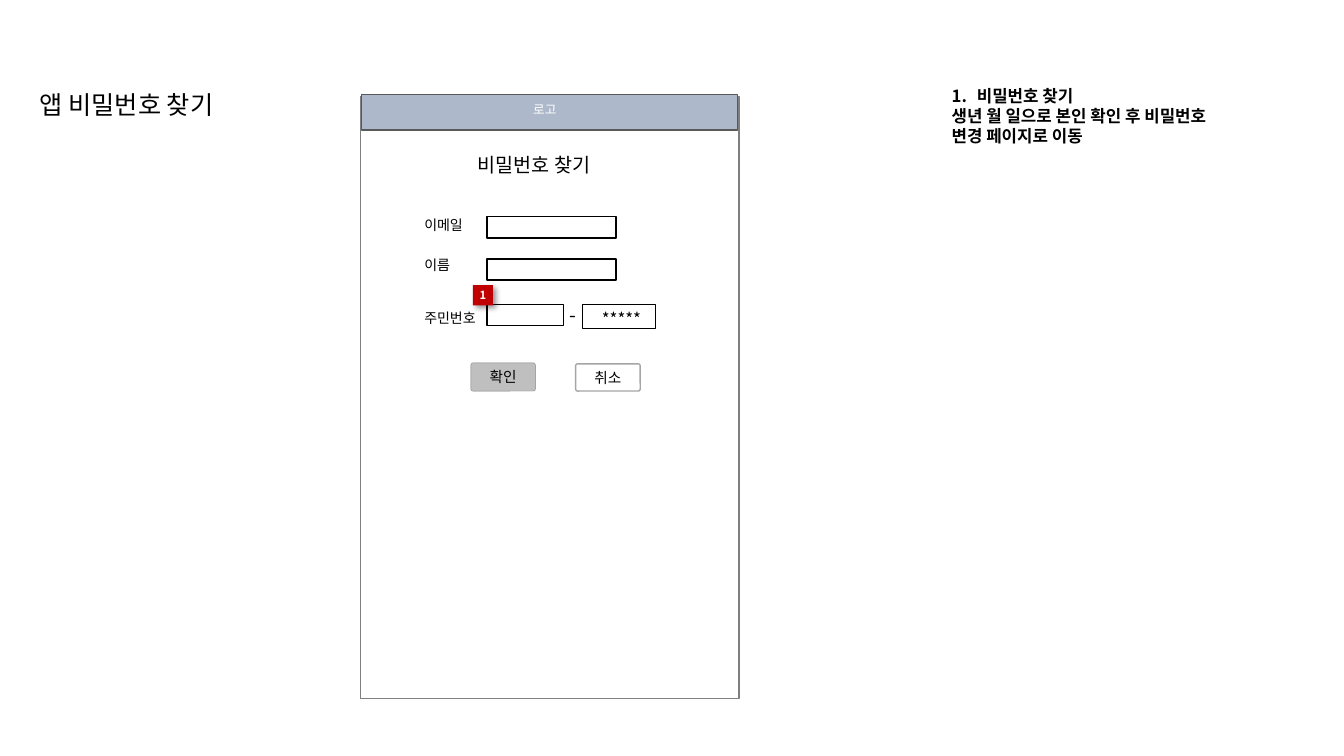
"""Build the wireframe slide for the app's password recovery screen."""
from lxml import etree
from pptx import Presentation, util as u
from pptx.dml.color import RGBColor
from pptx.enum import shapes, text
from pptx.oxml import ns

FONT = "Noto Sans CJK KR"
BLACK, WHITE, RED = "000000", "FFFFFF", "C00000"
RECT, ROUND = shapes.MSO_SHAPE.RECTANGLE, shapes.MSO_SHAPE.ROUNDED_RECTANGLE
LEFT, CENTER = text.PP_ALIGN.LEFT, text.PP_ALIGN.CENTER
INSETS = (0.1, 0.05, 0.1, 0.05)

LABEL_X, FIELD_X, FIELD_H = 4.11, 4.83, 0.21
FIELDS = [("이메일", 2.1, 2.15, 1.28), ("이름", 2.5, 2.57, 1.28),
          ("주민번호", 3.02, 3.02, 0.76)]
FRAMES = [((3.58, 0.96, 3.75, 5.97), WHITE, "7F7F7F"),
          ((3.59, 0.94, 3.72, 0.35), "ADB9CA", "595959")]
CAPTIONS = [("앱 비밀번호 찾기", (0.07, 0.84, 2.37, 0.28), 18, BLACK, CENTER),
            ("로고", (5.19, 0.96, 1.06, 0.31), 9, WHITE, LEFT),
            ("비밀번호 찾기", (4.64, 1.47, 3.04, 0.34), 14, BLACK, LEFT),
            ("-", (5.55, 2.96, 0.51, 0.34), 14, BLACK, LEFT)]
BUTTONS = [("확인", (4.67, 3.6, 0.64, 0.28), "BFBFBF", "808080", 0.25),
           ("취소", (5.71, 3.61, 0.64, 0.27), WHITE, "A5A5A5", 1)]
MASK = ("*****", (5.78, 3.02, 0.72, 0.24))
BADGE = ("1", (4.69, 2.83, 0.2, 0.2))
NOTES = ["비밀번호 찾기", "생년 월 일으로 본인 확인 후 비밀번호 변경 페이지로 이동"]
NOTES_BOX = (9.34, 0.8, 3.06, 0.71)


def rgb(color):
    """Turn a hex string into a colour."""
    return RGBColor.from_string(color)


def child(parent, tag, **attrs):
    """Append a DrawingML element with attributes."""
    el = etree.SubElement(parent, ns.qn(tag))
    for key, value in attrs.items():
        el.set(key, str(value))
    return el


def write(p, words, size, color=BLACK, bold=False, align=LEFT):
    """Add one styled run to a paragraph."""
    p.alignment = align
    r = p.add_run()
    r.text = words
    r.font.size, r.font.bold, r.font.name = u.Pt(size), bold, FONT
    r.font.color.rgb = rgb(color)
    child(r._r.get_or_add_rPr(), "a:ea", typeface=FONT)


def frame(sp, insets=INSETS, anchor=text.MSO_ANCHOR.TOP, wrap=True):
    """Set up the text frame of a shape and return it."""
    tf = sp.text_frame
    tf.word_wrap, tf.vertical_anchor = wrap, anchor
    tf.margin_left, tf.margin_top, tf.margin_right, tf.margin_bottom = map(u.Inches, insets)
    return tf


def caption(slide, words, box, size, color=BLACK, align=LEFT):
    """Add a one-line text box."""
    tf = frame(slide.shapes.add_textbox(*map(u.Inches, box)))
    write(tf.paragraphs[0], words, size, color, align=align)


def block(slide, box, fill, line=None, width=1, kind=RECT):
    """Add a flat filled shape, outlined if a line colour is given."""
    sp = slide.shapes.add_shape(kind, *map(u.Inches, box))
    sp.shadow.inherit = False
    sp.fill.solid()
    sp.fill.fore_color.rgb = rgb(fill)
    if line:
        sp.line.color.rgb, sp.line.width = rgb(line), u.Pt(width)
    else:
        sp.line.fill.background()
    return sp


def cast_shadow(sp):
    """Give a shape a soft diagonal shadow."""
    effects = sp._element.spPr.find(ns.qn("a:effectLst"))
    outer = child(effects, "a:outerShdw", blurRad=u.Pt(4), dist=u.Pt(3),
                  dir=45 * 60000, algn="tl", rotWithShape=0)
    child(child(outer, "a:srgbClr", val=BLACK), "a:alpha", val=40000)


def add_notes(slide):
    """Add the numbered description beside the screen."""
    tf = frame(slide.shapes.add_textbox(*map(u.Inches, NOTES_BOX)))
    heading, body = tf.paragraphs[0], tf.add_paragraph()
    pPr = heading._p.get_or_add_pPr()
    pPr.set("marL", str(u.Inches(0.25)))
    pPr.set("indent", str(u.Inches(-0.25)))
    child(pPr, "a:buFont", typeface="+mj-lt")
    child(pPr, "a:buAutoNum", type="arabicPeriod")
    for p, words in zip((heading, body), NOTES):
        write(p, words, 12, bold=True)


def main():
    """Draw the slide and save it."""
    prs = Presentation()
    prs.slide_width, prs.slide_height = u.Inches(13.33), u.Inches(7.5)
    slide = prs.slides.add_slide(prs.slide_layouts[6])
    middle = text.MSO_ANCHOR.MIDDLE
    for box, fill, line in FRAMES:
        block(slide, box, fill, line, 0.75)
    for label, label_y, field_y, width in FIELDS:
        block(slide, (FIELD_X, field_y, width, FIELD_H), WHITE, BLACK)
        caption(slide, label, (LABEL_X, label_y, 1.21, 0.27), 10)
    for words, box, fill, line, width in BUTTONS:
        sp = block(slide, box, fill, line, width, ROUND)
        sp.adjustments[0] = 0.075
        tf = frame(sp, (0, 0.05, 0, 0.05), middle)
        write(tf.paragraphs[0], words, 10.5, align=CENTER)
    words, box = MASK
    tf = frame(block(slide, box, WHITE, BLACK), (0.19, 0.1, 0.1, 0.05), middle)
    write(tf.paragraphs[0], words, 12)
    words, box = BADGE
    badge = block(slide, box, RED)
    cast_shadow(badge)
    tf = frame(badge, (0, 0, 0, 0), middle, wrap=False)
    write(tf.paragraphs[0], words, 8, WHITE, True, CENTER)
    for item in CAPTIONS:
        caption(slide, *item)
    add_notes(slide)
    prs.save("out.pptx")


if __name__ == "__main__":
    main()
